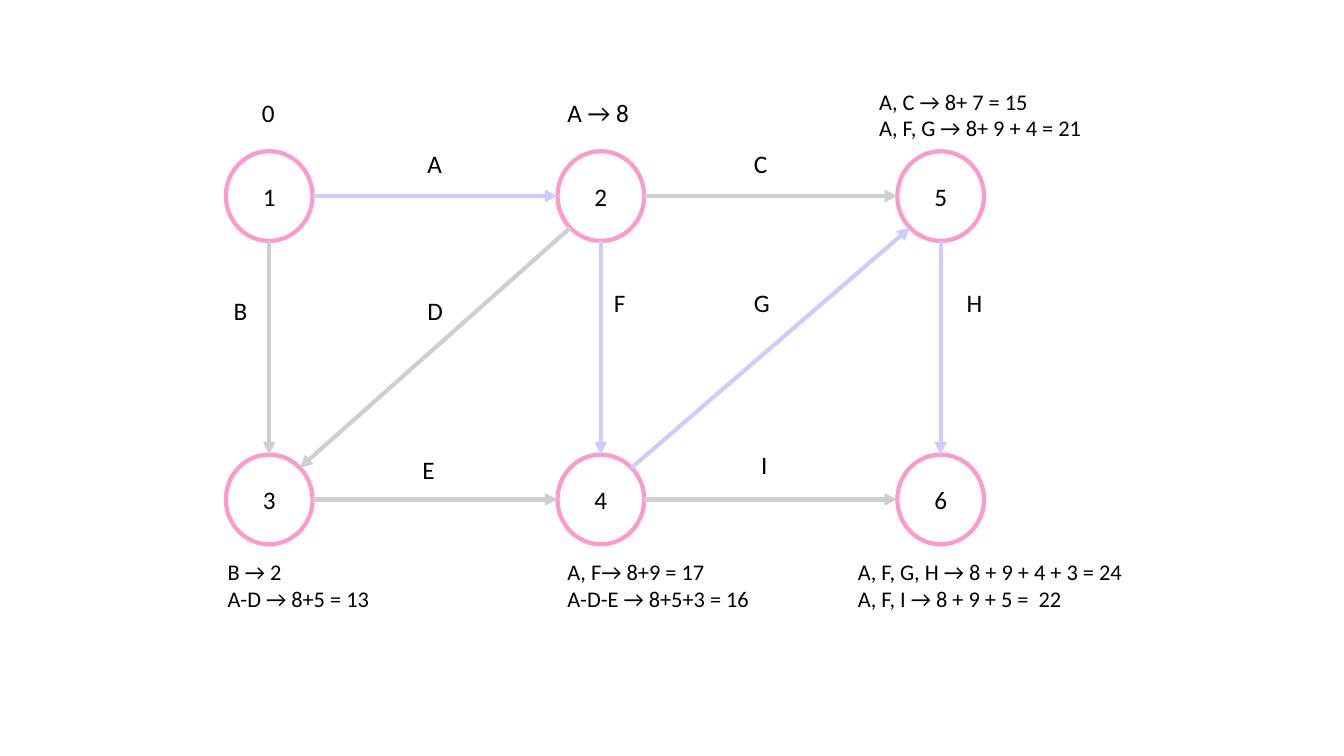
import math
from dataclasses import dataclass

from lxml import etree
from pptx import Presentation
from pptx import util as u
from pptx.dml.color import RGBColor
from pptx.enum import shapes, text
from pptx.oxml import ns


@dataclass(frozen=True)
class Theme:
    font: str = "Calibri"
    ink: RGBColor = RGBColor(0x00, 0x00, 0x00)
    ring: RGBColor = RGBColor(0xFF, 0x99, 0xCC)
    critical: RGBColor = RGBColor(0xCC, 0xCC, 0xFF)
    ordinary: RGBColor = RGBColor(0xD0, 0xCE, 0xCE)
    label_size: u.Pt = u.Pt(18)
    note_size: u.Pt = u.Pt(16)
    stroke: u.Pt = u.Pt(3)


THEME = Theme()
NODE_WIDTH, NODE_HEIGHT = 0.86, 0.89
COLUMNS = (2.67, 5.96, 9.33)
ROWS = (1.945, 4.955)

# Node number: (column, row)
NODES = {1: (0, 0), 2: (1, 0), 3: (0, 1), 4: (1, 1), 5: (2, 0), 6: (2, 1)}

# Activity, from node, to node, on the critical path, label left, top, width
ACTIVITIES = [
    ("A", 1, 2, True, 4.14, 1.42, 0.35),
    ("F", 2, 4, True, 5.99, 2.8, 0.32),
    ("G", 4, 5, True, 7.38, 2.8, 0.36),
    ("H", 5, 6, True, 9.49, 2.8, 0.36),
    ("D", 2, 3, False, 4.14, 2.88, 0.36),
    ("E", 3, 4, False, 4.09, 4.46, 0.32),
    ("B", 1, 3, False, 2.22, 2.88, 0.34),
    ("I", 4, 6, False, 7.45, 4.41, 0.27),
    ("C", 2, 5, False, 7.38, 1.42, 0.34),
]

# Text, left, top, width
START_TIMES = [("0", 2.5, 0.92, 0.33), ("A → 8", 5.53, 0.92, 0.84)]
PATH_NOTES = [
    ("B → 2\nA-D → 8+5 = 13", 2.16, 5.49, 1.75),
    ("A, F→ 8+9 = 17\nA-D-E → 8+5+3 = 16", 5.53, 5.49, 2.1),
    ("A, C → 8+ 7 = 15\nA, F, G → 8+ 9 + 4 = 21", 8.62, 0.82, 2.51),
    ("A, F, G, H → 8 + 9 + 4 + 3 = 24\nA, F, I → 8 + 9 + 5 =  22", 8.41, 5.49, 3.08),
]


def apply_format(target, values):
    for name, value in values.items():
        setattr(target, name, value)


def write_text(frame, content, size, alignment):
    frame.text = content
    for paragraph in frame.paragraphs:
        paragraph.alignment = alignment
        apply_format(paragraph.font, {"name": THEME.font, "size": size})
        paragraph.font.color.rgb = THEME.ink


def set_line(line, color):
    line.color.rgb = color
    line.width = THEME.stroke


def node_center(number):
    column, row = NODES[number]
    return COLUMNS[column], ROWS[row]


def add_node(slide, number):
    x, y = node_center(number)
    shape = slide.shapes.add_shape(
        shapes.MSO_SHAPE.OVAL,
        u.Inches(x - NODE_WIDTH / 2), u.Inches(y - NODE_HEIGHT / 2),
        u.Inches(NODE_WIDTH), u.Inches(NODE_HEIGHT))
    shape.shadow.inherit = False
    shape.fill.background()
    set_line(shape.line, THEME.ring)
    shape.text_frame.vertical_anchor = text.MSO_ANCHOR.MIDDLE
    write_text(shape.text_frame, str(number), THEME.label_size, text.PP_ALIGN.CENTER)


def rim_point(number, toward):
    """Point on a node's rim, in the nearest of eight directions to another node."""
    x, y = node_center(number)
    other_x, other_y = node_center(toward)
    eighth = math.pi / 4
    angle = round(math.atan2(other_y - y, other_x - x) / eighth) * eighth
    return (u.Inches(x + NODE_WIDTH / 2 * math.cos(angle)),
            u.Inches(y + NODE_HEIGHT / 2 * math.sin(angle)))


def add_arrow(slide, source, target, color):
    connector = slide.shapes.add_connector(
        shapes.MSO_CONNECTOR.STRAIGHT,
        *rim_point(source, target), *rim_point(target, source))
    set_line(connector.line, color)
    line = connector.line._get_or_add_ln()
    etree.SubElement(line, ns.qn("a:tailEnd"), type="triangle")
    etree.SubElement(connector._element.spPr, ns.qn("a:effectLst"))


def add_text(slide, content, left, top, width, size=THEME.label_size, wrap=False):
    lines = content.count("\n") + 1
    height = 0.1 + lines * size.inches * 1.2
    box = slide.shapes.add_textbox(*map(u.Inches, (left, top, width, height)))
    apply_format(box.text_frame, {
        "word_wrap": wrap,
        "auto_size": text.MSO_AUTO_SIZE.SHAPE_TO_FIT_TEXT,
    })
    write_text(box.text_frame, content, size, text.PP_ALIGN.LEFT)


def main():
    presentation = Presentation()
    apply_format(presentation, {"slide_width": u.Inches(13.33),
                                "slide_height": u.Inches(7.5)})
    slide = presentation.slides.add_slide(presentation.slide_layouts[6])

    for number in NODES:
        add_node(slide, number)
    for _, source, target, critical, *_ in ACTIVITIES:
        add_arrow(slide, source, target,
                  THEME.critical if critical else THEME.ordinary)
    for name, _, _, _, *place in ACTIVITIES:
        add_text(slide, name, *place)
    for start_time in START_TIMES:
        add_text(slide, *start_time)
    for note in PATH_NOTES:
        add_text(slide, *note, size=THEME.note_size, wrap=True)

    presentation.save("out.pptx")


if __name__ == "__main__":
    main()
